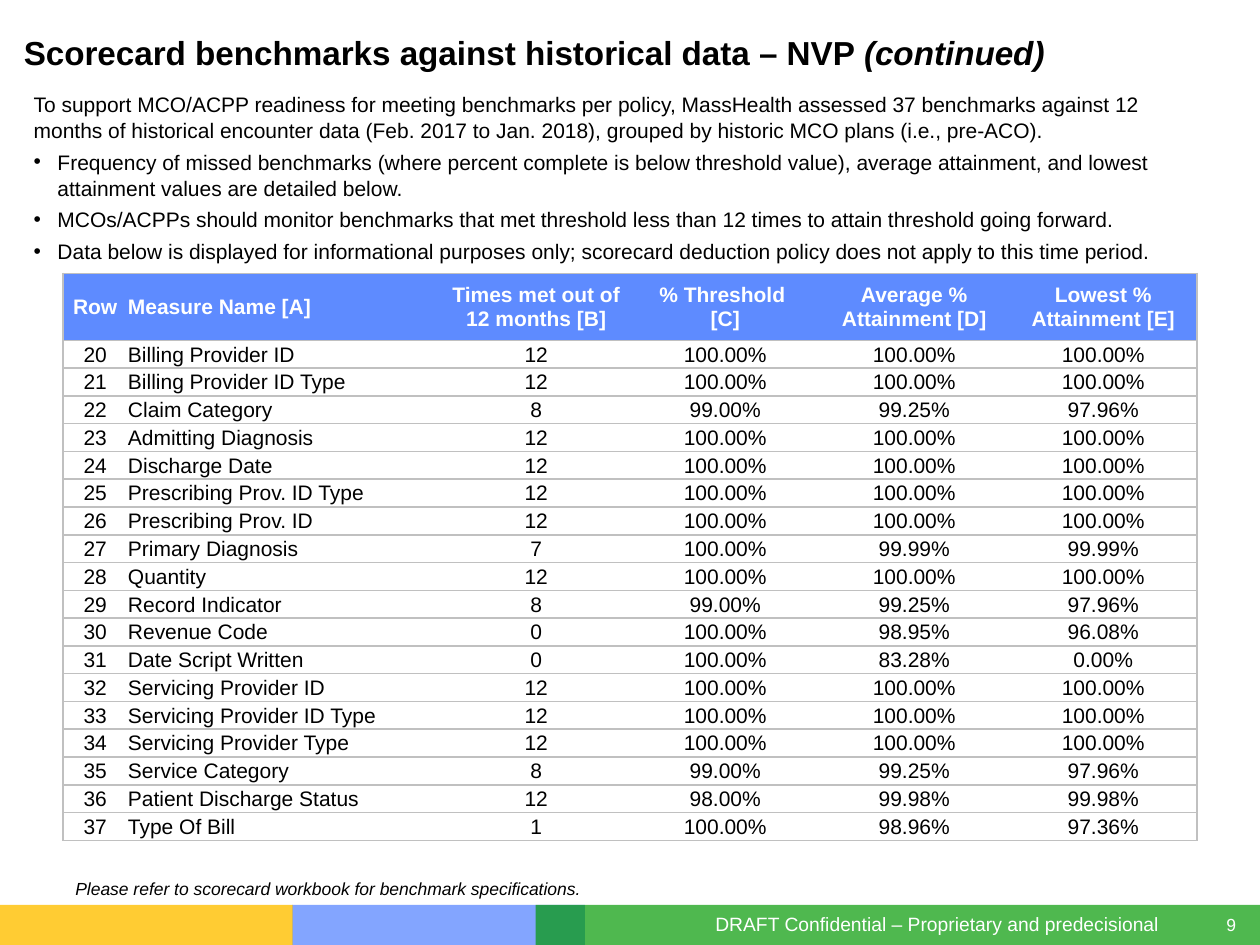
from lxml.etree import SubElement
from pptx import Presentation
from pptx.dml.color import RGBColor
from pptx.enum.shapes import MSO_SHAPE
from pptx.enum.text import MSO_ANCHOR, PP_ALIGN
from pptx.oxml.ns import qn
from pptx.util import Cm, Pt

# Content
TITLE = ["Scorecard benchmarks against historical data – NVP ", "(continued)"]
INTRO = ("To support MCO/ACPP readiness for meeting benchmarks per policy, MassHealth "
         "assessed 37 benchmarks against 12 months of historical encounter data "
         "(Feb. 2017 to Jan. 2018), grouped by historic MCO plans (i.e., pre-ACO).")
POINTS = [
    "Frequency of missed benchmarks (where percent complete is below threshold value), "
    "average attainment, and lowest attainment values are detailed below.",
    "MCOs/ACPPs should monitor benchmarks that met threshold less than 12 times "
    "to attain threshold going forward.",
    "Data below is displayed for informational purposes only; scorecard deduction "
    "policy does not apply to this time period.",
]
HEAD = ["Row", "Measure Name [A]", "Times met out of 12 months [B]",
        "% Threshold \v[C]", "Average % Attainment [D]", "Lowest % Attainment [E]"]
FULL = "100.00%"
FIRST = 20
ROWS = [
    ("Billing Provider ID", 12, FULL, FULL, FULL),
    ("Billing Provider ID Type", 12, FULL, FULL, FULL),
    ("Claim Category", 8, "99.00%", "99.25%", "97.96%"),
    ("Admitting Diagnosis", 12, FULL, FULL, FULL),
    ("Discharge Date", 12, FULL, FULL, FULL),
    ("Prescribing Prov. ID Type", 12, FULL, FULL, FULL),
    ("Prescribing Prov. ID", 12, FULL, FULL, FULL),
    ("Primary Diagnosis", 7, FULL, "99.99%", "99.99%"),
    ("Quantity", 12, FULL, FULL, FULL),
    ("Record Indicator", 8, "99.00%", "99.25%", "97.96%"),
    ("Revenue Code", 0, FULL, "98.95%", "96.08%"),
    ("Date Script Written", 0, FULL, "83.28%", "0.00%"),
    ("Servicing Provider ID", 12, FULL, FULL, FULL),
    ("Servicing Provider ID Type", 12, FULL, FULL, FULL),
    ("Servicing Provider Type", 12, FULL, FULL, FULL),
    ("Service Category", 8, "99.00%", "99.25%", "97.96%"),
    ("Patient Discharge Status", 12, "98.00%", "99.98%", "99.98%"),
    ("Type Of Bill", 1, FULL, "98.96%", "97.36%"),
]
NOTE = "Please refer to scorecard workbook for benchmark specifications."
FOOT = "DRAFT Confidential – Proprietary and predecisional"
PAGE = "9"

# Footer bands: left, width, colour, opacity in percent
BANDS = [(5.89, 5.9, "5E8BFF", 77), (0, 5.9, "FFC000", 80), (10.8, 14.6, "009900", 69)]
COLS = [1.27, 6.35, 3.81, 3.81, 3.81, 3.81]
TOP, ROW = 1.35, 0.56
BLUE, GREY, WHITE, BLACK = "5E8BFF", "C0C0C0", "FFFFFF", "000000"


def tint(code):
    return RGBColor.from_string(code)


def style(para, size, color=BLACK, bold=False, italic=False):
    for run in para.runs:
        font = run.font
        font.name, font.size = "Arial", Pt(size)
        font.bold, font.italic = bold, italic
        font.color.rgb = tint(color)


def textbox(slide, left, top, width, height, flush=True):
    frame = slide.shapes.add_textbox(Cm(left), Cm(top), Cm(width), Cm(height)).text_frame
    frame.word_wrap = True
    if flush:
        frame.margin_left = frame.margin_right = 0
        frame.margin_top = frame.margin_bottom = 0
    return frame


def bullet(para):
    props = para._p.get_or_add_pPr()
    props.set("marL", str(Cm(0.48)))
    props.set("indent", str(-Cm(0.48)))
    color = SubElement(props, qn("a:buClr"))
    SubElement(color, qn("a:srgbClr"), val=BLACK)
    SubElement(props, qn("a:buFont"), typeface="Arial")
    SubElement(props, qn("a:buChar"), char="•")


def edges(cell, shown):
    props = cell._tc.get_or_add_tcPr()
    for side in "LRTB":
        line = SubElement(props, qn("a:ln" + side), w=str(Pt(1)))
        if side in shown:
            fill = SubElement(line, qn("a:solidFill"))
            SubElement(fill, qn("a:srgbClr"), val=GREY)
        else:
            SubElement(line, qn("a:noFill"))


prs = Presentation()
prs.slide_width, prs.slide_height = Cm(25.4), Cm(19.05)
slide = prs.slides.add_slide(prs.slide_layouts[6])

# Footer
for left, width, color, alpha in BANDS:
    band = slide.shapes.add_shape(MSO_SHAPE.RECTANGLE, Cm(left), Cm(18.24), Cm(width), Cm(0.81))
    band.shadow.inherit = False
    band.line.fill.background()
    band.fill.solid()
    band.fill.fore_color.rgb = tint(color)
    shade = band._element.spPr.find(qn("a:solidFill"))[0]
    SubElement(shade, qn("a:alpha"), val=str(alpha * 1000))

frame = textbox(slide, 24.46, 18.42, 0.46, 0.43)
frame.word_wrap = False
frame.vertical_anchor = MSO_ANCHOR.MIDDLE
frame.text = PAGE
frame.paragraphs[0].alignment = PP_ALIGN.RIGHT
style(frame.paragraphs[0], 10, WHITE)

frame = textbox(slide, 14.42, 18.39, 9.8, 0.48)
frame.text = FOOT
style(frame.paragraphs[0], 11, WHITE)

# Title
para = textbox(slide, 0.48, 0.66, 22.38, 0.81).paragraphs[0]
for part in TITLE:
    para.add_run().text = part
style(para, 19, bold=True)
para.runs[1].font.italic = True

# Note under the table
frame = textbox(slide, 1.27, 17.58, 22.86, 0.69, flush=False)
frame.text = NOTE
style(frame.paragraphs[0], 10, italic=True)

# Benchmark table
grid = [HEAD] + [(FIRST + i, *row) for i, row in enumerate(ROWS)]
table = slide.shapes.add_table(len(grid), len(COLS), Cm(1.27), Cm(5.51), Cm(sum(COLS)),
                               Cm(TOP + ROW * len(ROWS))).table
table.first_row = table.horz_banding = False
for col, width in zip(table.columns, COLS):
    col.width = Cm(width)
for r, row in enumerate(grid):
    table.rows[r].height = Cm(ROW if r else TOP)
    for c, value in enumerate(row):
        cell = table.cell(r, c)
        edges(cell, "TB" + {0: "L", len(COLS) - 1: "R"}.get(c, ""))
        if r:
            cell.fill.background()
        else:
            cell.fill.solid()
            cell.fill.fore_color.rgb = tint(BLUE)
        cell.vertical_anchor = MSO_ANCHOR.MIDDLE
        cell.margin_left, cell.margin_right = Cm(0.04), Cm(0.01)
        cell.margin_top, cell.margin_bottom = Cm(0.03), Cm(0.01)
        cell.text_frame.text = str(value)
        para = cell.text_frame.paragraphs[0]
        para.alignment = PP_ALIGN.LEFT if c == 1 else PP_ALIGN.CENTER
        style(para, 12, BLACK if r else WHITE, bold=r == 0)

# Introduction and bullets
frame = textbox(slide, 0.43, 1.7, 23.7, 3.66, flush=False)
frame.text = "\n".join([INTRO] + POINTS)
for i, para in enumerate(frame.paragraphs):
    para.space_after = Pt(3)
    para.line_spacing = 1.04
    if i:
        bullet(para)
    style(para, 12)

prs.save("out.pptx")
